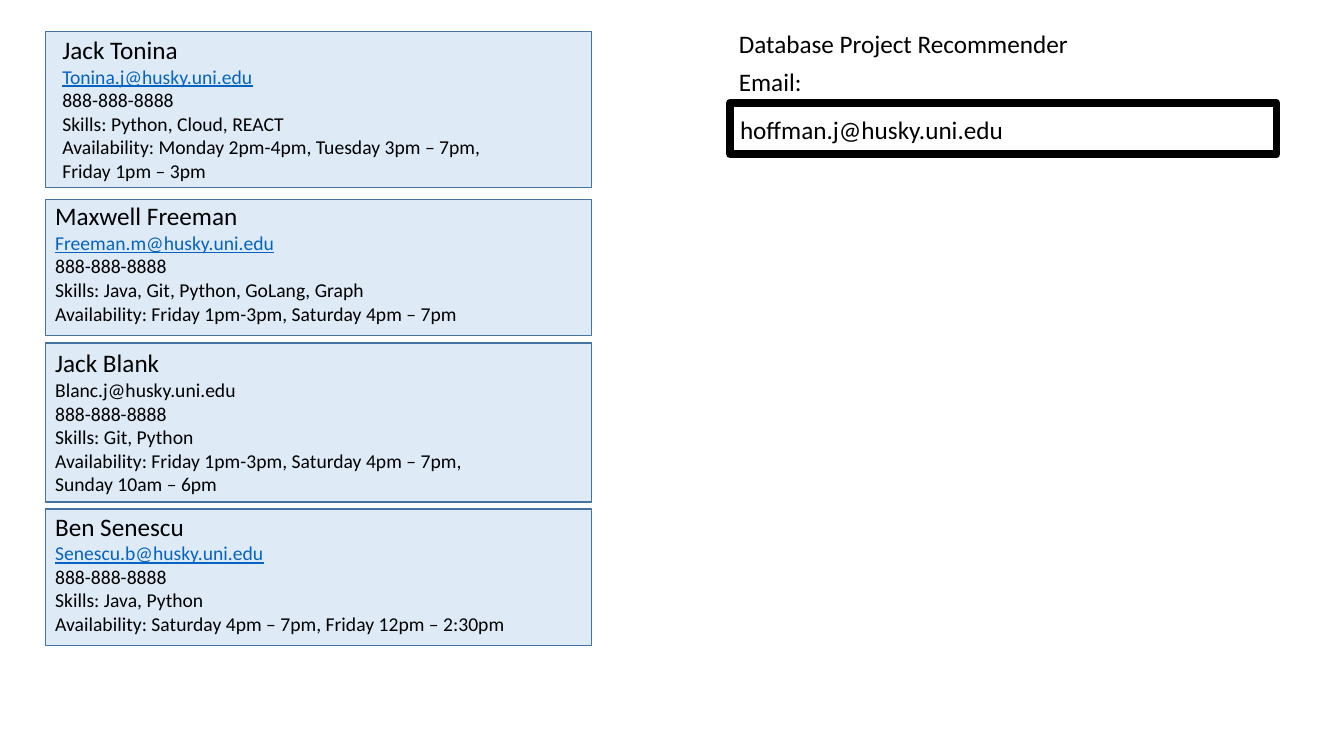
from lxml.etree import SubElement
from pptx import Presentation
from pptx.dml.color import RGBColor as Rgb
from pptx.enum.shapes import MSO_SHAPE as Shape
from pptx.enum.text import MSO_AUTO_SIZE as AutoSize
from pptx.oxml.ns import qn
from pptx.util import Cm, Pt

COLORS = {
    "text": "000000",
    "link": "0563C1",
    "card": "5B9BD5",
    "card_line": "43739E",
    "field_line": "000000",
}
FONT = "Calibri"
HEADING, BODY = 18, 14
CARD_LEFT, CARD_WIDTH = 1.14, 13.77
FORM_LEFT = 18.37
PHONE = "888-888-8888"

# fmt: off
CARDS = [
    dict(top=0.79, height=3.94, text_left=1.32, text_top=0.74, linked=True,
         name="Jack Tonina", email="Tonina.j@husky.uni.edu",
         details=["Skills: Python, Cloud, REACT",
                  "Availability: Monday 2pm-4pm, Tuesday 3pm – 7pm,",
                  "Friday 1pm – 3pm"]),
    dict(top=5.03, height=3.43, text_left=CARD_LEFT, text_top=4.93, linked=True,
         name="Maxwell Freeman", email="Freeman.m@husky.uni.edu",
         details=["Skills: Java, Git, Python, GoLang, Graph",
                  "Availability: Friday 1pm-3pm, Saturday 4pm – 7pm"]),
    dict(top=8.64, height=4.01, text_left=CARD_LEFT, text_top=8.64, linked=False,
         name="Jack Blank", email="Blanc.j@husky.uni.edu",
         details=["Skills: Git, Python",
                  "Availability: Friday 1pm-3pm, Saturday 4pm – 7pm,",
                  "Sunday 10am – 6pm"]),
    dict(top=12.83, height=3.43, text_left=CARD_LEFT, text_top=12.75, linked=True,
         name="Ben Senescu", email="Senescu.b@husky.uni.edu",
         details=["Skills: Java, Python",
                  "Availability: Saturday 4pm – 7pm, Friday 12pm – 2:30pm"]),
]
# fmt: on


class PageBuilder:
    def __init__(self, page):
        self.page = page

    def rectangle(self, left, top, width, height, line, weight, fill=None, opacity=100):
        box = self.page.shapes.add_shape(
            Shape.RECTANGLE, Cm(left), Cm(top), Cm(width), Cm(height)
        )
        box.shadow.inherit = False
        box.line.color.rgb = Rgb.from_string(COLORS[line])
        box.line.width = Pt(weight)
        if fill is None:
            box.fill.background()
            return
        box.fill.solid()
        box.fill.fore_color.rgb = Rgb.from_string(COLORS[fill])
        color = box.fill._xPr.find(qn("a:solidFill"))[0]
        SubElement(color, qn("a:alpha")).set("val", str(opacity * 1000))

    def text(self, left, top, width, height, lines, wrap=True):
        box = self.page.shapes.add_textbox(Cm(left), Cm(top), Cm(width), Cm(height))
        frame = box.text_frame
        frame.word_wrap = wrap
        frame.auto_size = AutoSize.SHAPE_TO_FIT_TEXT
        for index, (words, size, linked) in enumerate(lines):
            para = frame.add_paragraph() if index else frame.paragraphs[0]
            span = para.add_run()
            span.text = words
            font = span.font if linked else para.font
            font.name = FONT
            font.size = Pt(size)
            font.underline = linked
            font.color.rgb = Rgb.from_string(COLORS["link" if linked else "text"])

    def heading(self, left, top, width, words, wrap=True):
        self.text(left, top, width, 1.03, [(words, HEADING, False)], wrap)

    def card(self, top, height, text_left, text_top, linked, name, email, details):
        self.rectangle(CARD_LEFT, top, CARD_WIDTH, height, "card_line", 1, "card", 20)
        lines = [(name, HEADING, False), (email, BODY, linked)]
        lines += [(words, BODY, False) for words in [PHONE, *details]]
        self.text(text_left, text_top, CARD_WIDTH, height, lines)


def main():
    deck = Presentation()
    deck.slide_width, deck.slide_height = Cm(33.87), Cm(19.05)
    builder = PageBuilder(deck.slides.add_slide(deck.slide_layouts[6]))

    builder.heading(FORM_LEFT, 0.58, 24.16, "Database Project Recommender")
    builder.heading(FORM_LEFT, 1.55, 6.93, "Email:")
    builder.rectangle(18.4, 2.59, CARD_WIDTH, 1.3, "field_line", 5.5)
    builder.heading(18.4, 2.75, 7.39, "hoffman.j@husky.uni.edu", wrap=False)

    for card in CARDS:
        builder.card(**card)

    deck.save("out.pptx")


if __name__ == "__main__":
    main()
